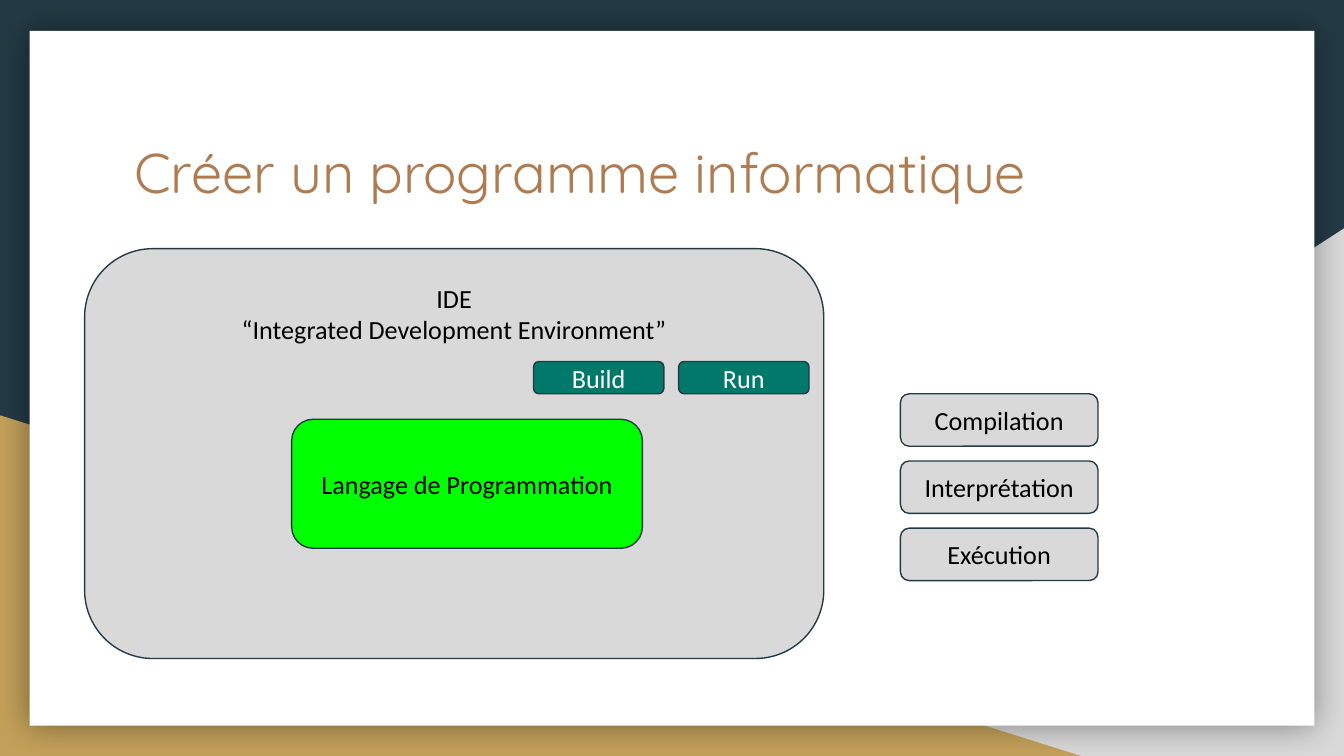
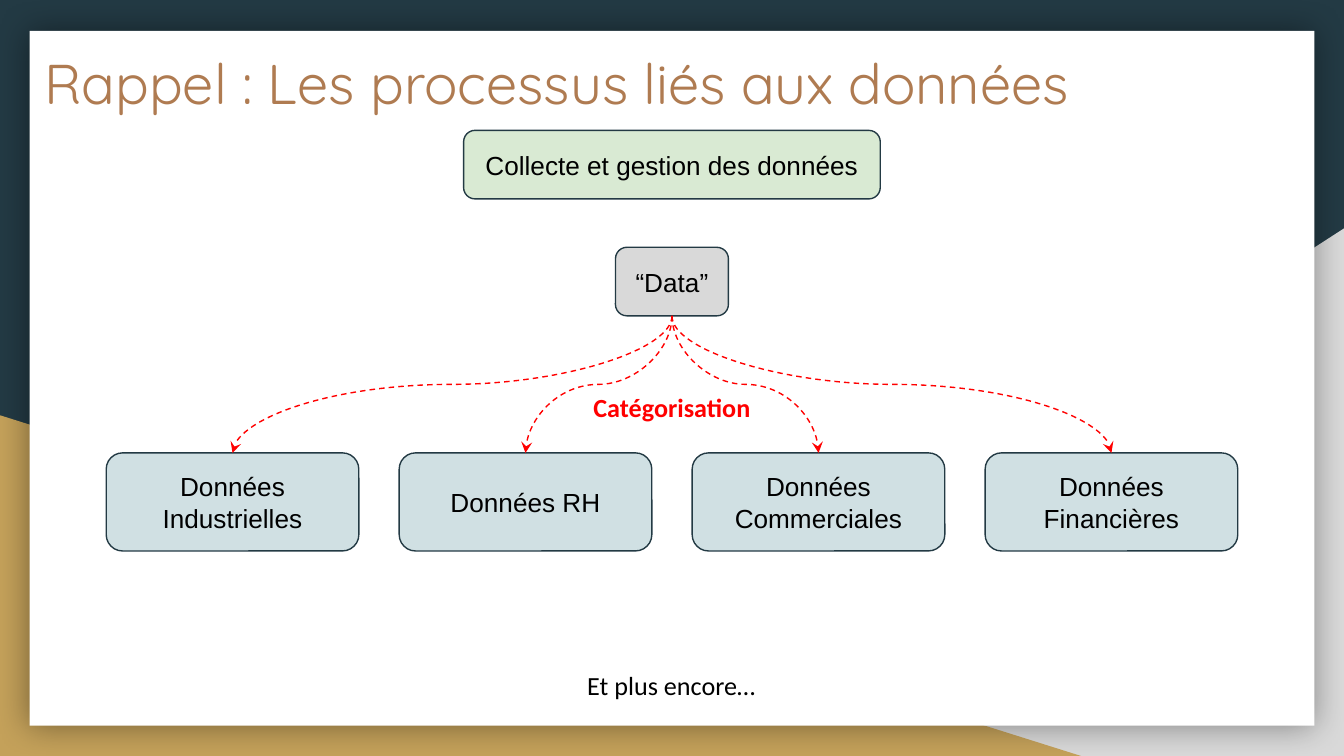
from lxml.etree import SubElement
from pptx import Presentation
from pptx.dml.color import RGBColor
from pptx.enum.dml import MSO_LINE
from pptx.enum.shapes import MSO_CONNECTOR, MSO_SHAPE
from pptx.enum.text import MSO_ANCHOR, MSO_AUTO_SIZE, PP_ALIGN
from pptx.oxml.ns import qn
from pptx.util import Inches, Pt

COLORS = {
    "navy": "233A44",
    "gray": "D9D9D9",
    "gold": "C4A15A",
    "white": "FFFFFF",
    "black": "000000",
    "copper": "AF7B51",
    "lime": "00FF00",
    "teal": "00796B",
    "sage": "D9EAD3",
    "mist": "D0E0E3",
    "red": "FF0000",
}


def rgb(name):
    return RGBColor.from_string(COLORS[name])


def add_block(slide, kind, spot, fill):
    block = slide.shapes.add_shape(kind, *map(Inches, spot))
    block.shadow.inherit = False
    block.fill.solid()
    block.fill.fore_color.rgb = rgb(fill)
    block.line.fill.background()
    return block


def set_text(shape, text, size=14, font="Calibri", color="black",
             align=PP_ALIGN.CENTER, anchor=MSO_ANCHOR.TOP, bold=False):
    frame = shape.text_frame
    frame.word_wrap = True
    frame.vertical_anchor = anchor
    frame.margin_left = frame.margin_right = Inches(0.1)
    frame.margin_top = frame.margin_bottom = Inches(0.1)
    frame.text = text
    for para in frame.paragraphs:
        para.alignment = align
        for run in para.runs:
            run.font.size = Pt(size)
            run.font.name = font
            run.font.bold = bold
            run.font.color.rgb = rgb(color)


def add_box(slide, text, spot, fill, font="Calibri", color="black",
            anchor=MSO_ANCHOR.MIDDLE):
    box = add_block(slide, MSO_SHAPE.ROUNDED_RECTANGLE, spot, fill)
    box.line.color.rgb = rgb("navy")
    box.line.width = Pt(0.75)
    set_text(box, text, font=font, color=color, anchor=anchor)
    return box


def add_label(slide, text, spot, **style):
    label = slide.shapes.add_textbox(*map(Inches, spot))
    set_text(label, text, **style)
    label.text_frame.auto_size = MSO_AUTO_SIZE.SHAPE_TO_FIT_TEXT


def add_title(slide, text, left, top):
    title = slide.shapes.add_textbox(
        Inches(left), Inches(top), Inches(8.21), Inches(1.04))
    set_text(title, text, 30, "Quicksand", "copper", PP_ALIGN.LEFT)


def add_curve(slide, start, end):
    x1, y1 = start.left + start.width // 2, start.top + start.height
    x2, y2 = end.left + end.width // 2, end.top
    curve = slide.shapes.add_connector(MSO_CONNECTOR.CURVE, x1, y1, x2, y2)
    curve.begin_connect(start, 2)
    curve.end_connect(end, 0)

    wide, high = y2 - y1, abs(x2 - x1)
    curve.left, curve.top = (x1 + x2 - wide) // 2, (y1 + y2 - high) // 2
    curve.width, curve.height = wide, high
    props = curve._element.spPr
    frame = props.find(qn("a:xfrm"))
    frame.attrib.clear()
    if x2 < x1:
        frame.set("rot", "5400000")
    else:
        frame.set("rot", "16200000")
        frame.set("flipH", "1")

    curve.line.color.rgb = rgb("red")
    curve.line.width = Pt(0.75)
    curve.line.dash_style = MSO_LINE.DASH
    SubElement(curve.line._get_or_add_ln(), qn("a:tailEnd"), type="stealth")
    SubElement(props, qn("a:effectLst"))


def add_glow(shape):
    effects = shape._element.spPr.find(qn("a:effectLst"))
    glow = SubElement(effects, qn("a:outerShdw"), blurRad=str(Pt(18)),
                      dist="0", dir="0", algn="ctr", rotWithShape="0")
    tint = SubElement(glow, qn("a:srgbClr"), val=COLORS["black"])
    SubElement(tint, qn("a:alpha"), val="40000")


def add_slide(deck):
    slide = deck.slides.add_slide(deck.slide_layouts[6])
    slide.background.fill.solid()
    slide.background.fill.fore_color.rgb = rgb("navy")
    wedge = add_block(
        slide, MSO_SHAPE.RIGHT_TRIANGLE, (3.92, 1.7, 6.08, 3.93), "gray")
    wedge._element.spPr.find(qn("a:xfrm")).set("flipH", "1")
    add_block(slide, MSO_SHAPE.RIGHT_TRIANGLE, (0, 3.09, 8.06, 2.54), "gold")
    panel = add_block(
        slide, MSO_SHAPE.RECTANGLE, (0.22, 0.23, 9.56, 5.17), "white")
    add_glow(panel)
    return slide


def build_program(deck):
    slide = add_slide(deck)
    add_title(slide, "Créer un programme informatique", 0.9, 0.92)
    add_box(slide, "IDE\n“Integrated Development Environment”",
            (0.63, 1.85, 5.5, 3.05), "gray", anchor=MSO_ANCHOR.TOP)
    add_box(slide, "Langage de Programmation", (2.17, 3.12, 2.61, 0.96), "lime")
    for i, text in enumerate(("Build", "Run")):
        add_box(slide, text, (3.97 + 1.08 * i, 2.69, 0.97, 0.24), "teal",
                color="white")
    for i, text in enumerate(("Compilation", "Interprétation", "Exécution")):
        add_box(slide, text, (6.7, 2.93 + 0.5 * i, 1.47, 0.39), "gray")


def build_data(deck):
    slide = add_slide(deck)
    add_title(slide, "Rappel : Les processus liés aux données", 0.23, 0.26)
    add_box(slide, "Collecte et gestion des données",
            (3.45, 0.97, 3.1, 0.51), "sage", "Arial")
    data = add_box(slide, "“Data”", (4.58, 1.84, 0.84, 0.51), "gray", "Arial")
    kinds = ("Industrielles", "RH", "Commerciales", "Financières")
    for i, kind in enumerate(kinds):
        box = add_box(slide, f"Données {kind}",
                      (0.79 + 2.18 * i, 3.37, 1.88, 0.73), "mist", "Arial")
        add_curve(slide, data, box)
    add_label(slide, "Et plus encore…", (3.43, 4.88, 3.13, 0.44))
    add_label(slide, "Catégorisation", (3.97, 2.81, 2.06, 0.44),
              color="red", bold=True)


def main():
    deck = Presentation()
    deck.slide_width = Inches(10)
    deck.slide_height = deck.slide_width * 9 // 16
    build_program(deck)
    build_data(deck)
    deck.save("out.pptx")


if __name__ == "__main__":
    main()
